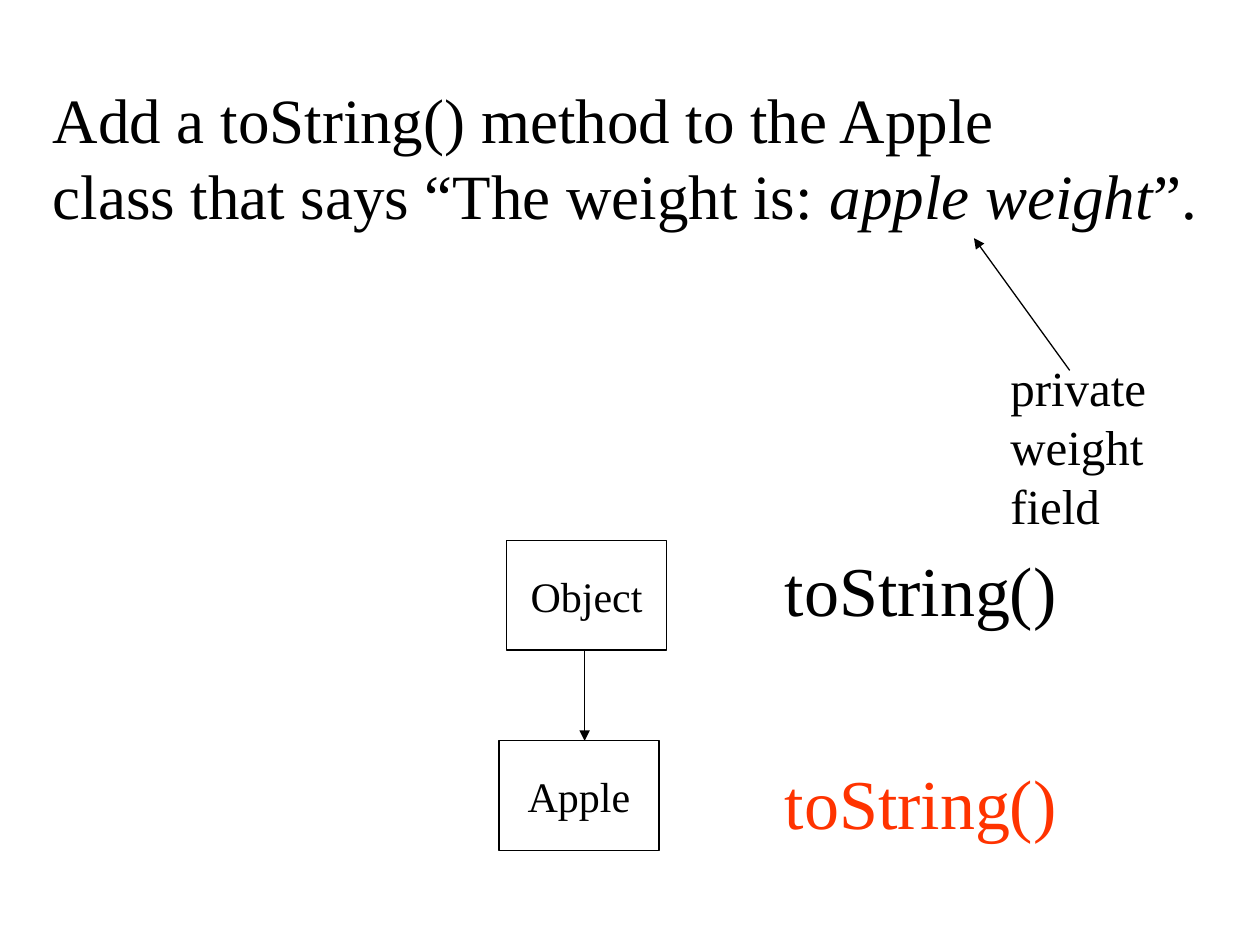
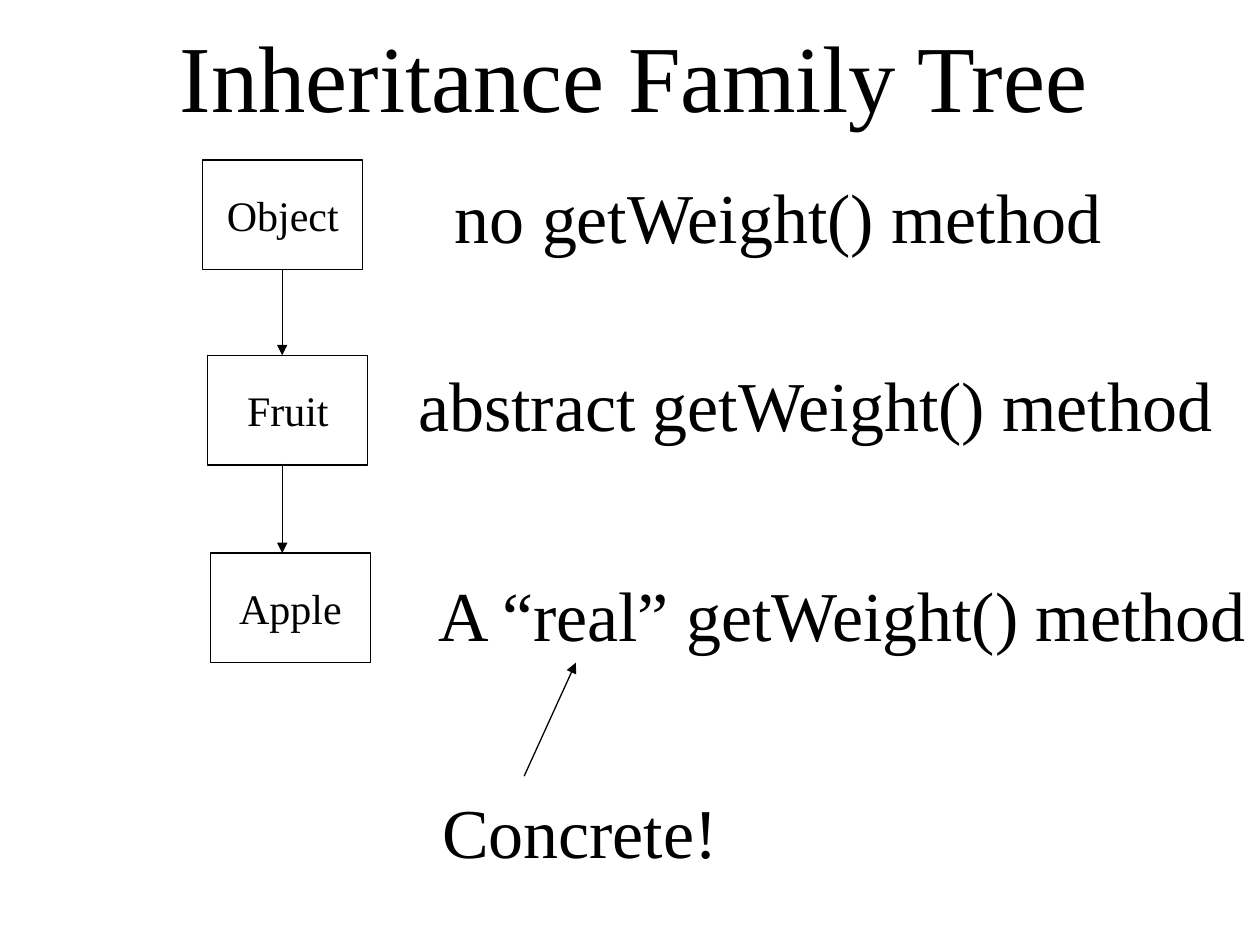
from lxml import etree
from pptx import Presentation
from pptx.dml.color import RGBColor
from pptx.enum.shapes import MSO_CONNECTOR as Connector, MSO_SHAPE as Shape
from pptx.enum.text import MSO_ANCHOR as Anchor, PP_ALIGN as Align
from pptx.oxml.ns import qn
from pptx.util import Inches, Pt

FONT = "Times New Roman"
BLACK, RED, WHITE = "000000", "FF3300", "FFFFFF"
BOX_WIDTH, BOX_HEIGHT = 1.27, 0.87
TITLE_SIZE, TASK_SIZE, METHOD_SIZE, NOTE_SIZE, CLASS_SIZE = 54, 36, 40, 28, 24

# Classes: name, left, top.
# Arrows: start point, end point.
# Texts: lines, (left, top, width, height), size, colour.
# A line is a string or a list of (text, italic) runs.
SLIDES = [
    {
        "classes": [("Object", 4.02, 4.29), ("Apple", 3.96, 5.88)],
        "arrows": [((4.64, 5.17), (4.64, 5.88)), ((8.49, 2.94), (7.73, 1.89))],
        "texts": [
            (["Add a toString() method to the Apple",
              [("class that says “The weight is: ", False),
               ("apple weight", True), ("”.", False)]],
             (0.32, 0.59, 9.28, 1.3), TASK_SIZE, BLACK),
            (["toString()"], (6.13, 4.29, 2.36, 0.77), METHOD_SIZE, BLACK),
            (["toString()"], (6.13, 5.98, 2.36, 0.77), METHOD_SIZE, RED),
            (["private", "weight", "field"], (7.92, 2.79, 1.28, 1.5), NOTE_SIZE, BLACK),
        ],
    },
    {
        "classes": [("Object", 1.61, 1.27), ("Fruit", 1.65, 2.82), ("Apple", 1.67, 4.39)],
        "arrows": [((2.24, 2.14), (2.24, 2.82)), ((2.24, 3.68), (2.24, 4.39)),
                   ((4.16, 6.16), (4.57, 5.26))],
        "texts": [
            (["Inheritance Family Tree"], (1.33, 0.09, 7.44, 1), TITLE_SIZE, BLACK),
            (["no getWeight() method"], (3.51, 1.33, 5.38, 0.77), METHOD_SIZE, BLACK),
            (["abstract getWeight() method"], (3.22, 2.82, 6.55, 0.77), METHOD_SIZE, BLACK),
            (["A “real” getWeight() method"], (3.38, 4.49, 6.69, 0.77), METHOD_SIZE, BLACK),
            (["Concrete!"], (3.41, 6.21, 2.39, 0.77), METHOD_SIZE, BLACK),
        ],
    },
]


def color(hex_string):
    return RGBColor.from_string(hex_string)


def write(shape, lines, size, ink=BLACK, align=Align.LEFT, anchor=Anchor.TOP):
    """Fill a shape with one paragraph per line."""
    frame = shape.text_frame
    frame.word_wrap = False
    frame.vertical_anchor = anchor
    for index, line in enumerate(lines):
        paragraph = frame.add_paragraph() if index else frame.paragraphs[0]
        paragraph.alignment = align
        runs = [(line, False)] if isinstance(line, str) else line
        for text, italic in runs:
            run = paragraph.add_run()
            run.text = text
            run.font.name, run.font.size = FONT, Pt(size)
            run.font.italic = italic
            run.font.color.rgb = color(ink)


def style_line(line):
    line.color.rgb = color(BLACK)
    line.width = Pt(0.75)


def add_class_box(slide, name, left, top):
    box = slide.shapes.add_shape(
        Shape.RECTANGLE, *map(Inches, (left, top, BOX_WIDTH, BOX_HEIGHT)))
    box.shadow.inherit = False
    box.fill.background()
    style_line(box.line)
    write(box, [name], CLASS_SIZE, align=Align.CENTER, anchor=Anchor.MIDDLE)


def add_arrow(slide, start, end):
    arrow = slide.shapes.add_connector(Connector.STRAIGHT, *map(Inches, start + end))
    style_line(arrow.line)
    etree.SubElement(arrow.line._get_or_add_ln(), qn("a:tailEnd"), type="triangle")
    etree.SubElement(arrow._element.spPr, qn("a:effectLst"))


def add_text(slide, lines, area, size, ink):
    write(slide.shapes.add_textbox(*map(Inches, area)), lines, size, ink)


def main():
    presentation = Presentation()
    presentation.slide_width, presentation.slide_height = Inches(10), Inches(7.5)
    for content in SLIDES:
        slide = presentation.slides.add_slide(presentation.slide_layouts[6])
        slide.background.fill.solid()
        slide.background.fill.fore_color.rgb = color(WHITE)
        for class_box in content["classes"]:
            add_class_box(slide, *class_box)
        for arrow in content["arrows"]:
            add_arrow(slide, *arrow)
        for text in content["texts"]:
            add_text(slide, *text)
    presentation.save("out.pptx")


if __name__ == "__main__":
    main()
